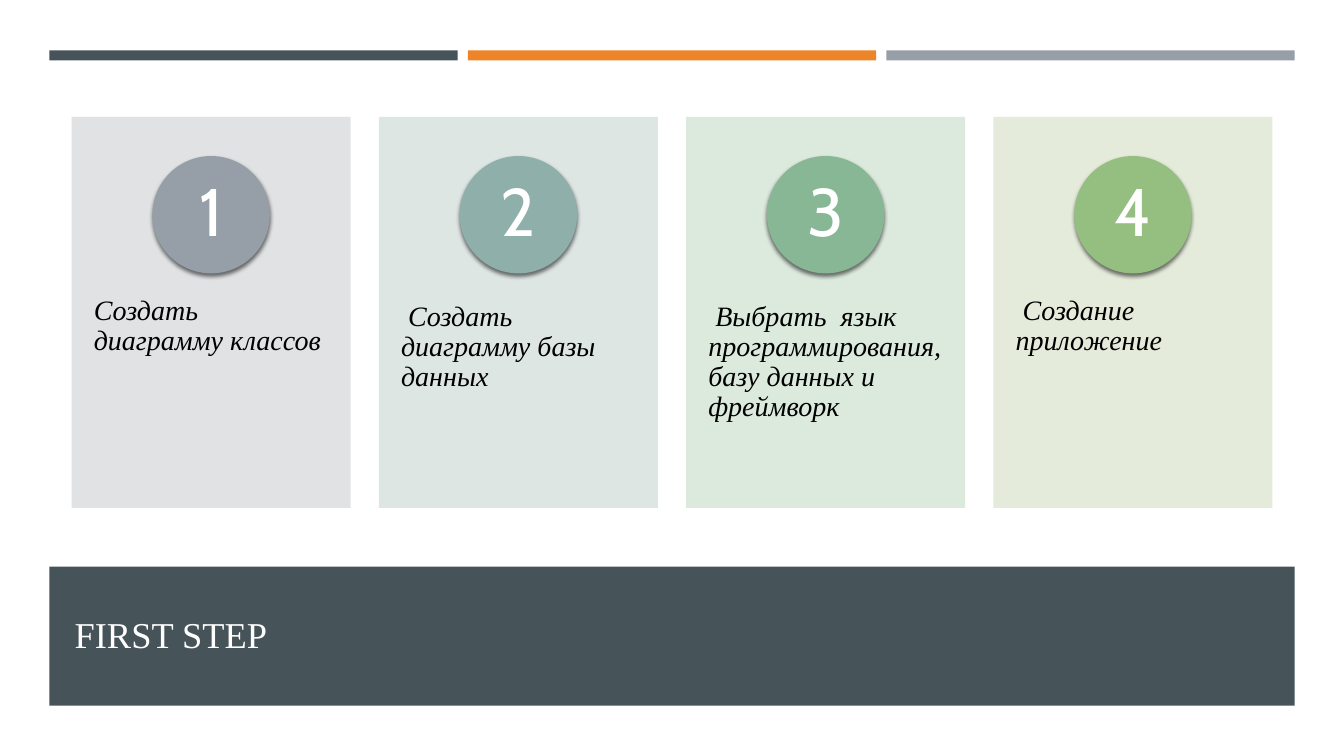
from collections import namedtuple

from lxml.etree import SubElement
from pptx import Presentation
from pptx.dml.color import RGBColor
from pptx.enum.shapes import MSO_SHAPE as Shape
from pptx.enum.text import MSO_ANCHOR as Anchor, PP_ALIGN as Align
from pptx.oxml.ns import qn
from pptx.util import Inches, Pt

Box = namedtuple("Box", "left top width height")

SLIDE_W, SLIDE_H = 13.33, 7.5
MARGIN = 0.49
CONTENT_W = SLIDE_W - 2 * MARGIN

SLATE = RGBColor(0x46, 0x53, 0x59)
ORANGE = RGBColor(0xED, 0x84, 0x28)
GREY = RGBColor(0x96, 0x9F, 0xA7)
WHITE = RGBColor(0xFF, 0xFF, 0xFF)
TITLE_WHITE = RGBColor(0xFF, 0xFE, 0xFF)
BLACK = RGBColor(0, 0, 0)
PALE_GREY = RGBColor(0xDD, 0xDF, 0xE1)
PALE_TEAL = RGBColor(0xDB, 0xE4, 0xE2)
PALE_GREEN = RGBColor(0xD9, 0xE7, 0xDA)
PALE_LIME = RGBColor(0xE2, 0xE9, 0xD7)
TEAL = RGBColor(0x8F, 0xAF, 0xAB)
GREEN = RGBColor(0x87, 0xB7, 0x94)
LIME = RGBColor(0x95, 0xBF, 0x80)

SERIF, SANS = "Times New Roman", "Cabin"

STEPS = [
    ("Создать диаграмму классов", PALE_GREY, GREY),
    (" Создать диаграмму базы данных", PALE_TEAL, TEAL),
    (" Выбрать  язык программирования, базу данных и фреймворк", PALE_GREEN, GREEN),
    (" Создание приложение", PALE_LIME, LIME),
]


def to_emu(box):
    return [Inches(length) for length in box]


def add_filled(slide, preset, box, color):
    filled = slide.shapes.add_shape(preset, *to_emu(box))
    filled.shadow.inherit = False
    filled.fill.solid()
    filled.fill.fore_color.rgb = color
    filled.line.fill.background()
    return filled


def write_text(holder, text, font=SERIF, size=20, color=BLACK, italic=False,
               align=Align.LEFT, anchor=Anchor.TOP, inset=(0.1, 0.05), spacing=0.9):
    frame = holder.text_frame
    frame.word_wrap = True
    frame.vertical_anchor = anchor
    frame.margin_left = frame.margin_right = Inches(inset[0])
    frame.margin_top = frame.margin_bottom = Inches(inset[1])
    line = frame.paragraphs[0]
    line.alignment = align
    line.line_spacing = spacing
    run = line.add_run()
    run.text = text
    run.font.name, run.font.size = font, Pt(size)
    run.font.italic = italic
    run.font.color.rgb = color


def set_opacity(filled, percent):
    color = filled.fill._xPr.find(qn("a:solidFill"))[0]
    SubElement(color, qn("a:alpha"), val=str(percent * 1000))


def add_soft_shadow(filled):
    effects = filled._element.spPr.find(qn("a:effectLst"))
    shadow = SubElement(effects, qn("a:outerShdw"), blurRad=str(Pt(3)),
                        dist=str(Pt(2)), dir="5400000", algn="ctr", rotWithShape="0")
    color = SubElement(shadow, qn("a:srgbClr"), val="000000")
    SubElement(color, qn("a:alpha"), val="55000")


def add_top_bars(slide, box, gap=0.1):
    colors = (SLATE, ORANGE, GREY)
    width = (box.width - gap * (len(colors) - 1)) / len(colors)
    for column, color in enumerate(colors):
        left = box.left + column * (width + gap)
        add_filled(slide, Shape.RECTANGLE, Box(left, box.top, width, box.height), color)


def add_title_band(slide, box):
    add_filled(slide, Shape.RECTANGLE, box, SLATE)
    title = slide.shapes.title
    # Bring the title in front of its band
    slide.shapes._spTree.append(title._element)
    title.left, title.top, title.width, title.height = to_emu(
        Box(box.left + 0.15, box.top + 0.14, box.width - 0.45, 1.05))
    write_text(title, "FIRST STEP", size=26, color=TITLE_WHITE,
               anchor=Anchor.MIDDLE, spacing=1.0)


def add_step_card(slide, box, number, task, card_color, badge_color):
    card = add_filled(slide, Shape.RECTANGLE, box, card_color)
    set_opacity(card, 90)

    # Task text in the lower part of the card
    task_box = Box(box.left, box.top + 0.38 * box.height, box.width, 0.6 * box.height)
    task_text = slide.shapes.add_textbox(*to_emu(task_box))
    write_text(task_text, task, italic=True, inset=(0.22, 0.36))

    # Numbered badge, centred across the card
    side = 0.3 * box.height
    badge_box = Box(box.left + (box.width - side) / 2, box.top + 0.1 * box.height, side, side)
    badge = add_filled(slide, Shape.OVAL, badge_box, badge_color)
    add_soft_shadow(badge)
    write_text(badge, str(number), font=SANS, size=48, color=WHITE, align=Align.CENTER,
               anchor=Anchor.MIDDLE, inset=(0.09, 0.01))


def add_steps(slide, box, gap=0.28):
    width = (box.width - gap * (len(STEPS) - 1)) / len(STEPS)
    for column, step in enumerate(STEPS):
        left = box.left + column * (width + gap)
        add_step_card(slide, Box(left, box.top, width, box.height), column + 1, *step)


def main():
    deck = Presentation()
    deck.slide_width, deck.slide_height = Inches(SLIDE_W), Inches(SLIDE_H)
    slide = deck.slides.add_slide(deck.slide_layouts[5])
    add_title_band(slide, Box(MARGIN, 5.62, CONTENT_W, 1.38))
    add_top_bars(slide, Box(MARGIN, 0.5, CONTENT_W, 0.1))
    add_steps(slide, Box(0.71, 1.16, 11.91, 3.88))
    deck.save("out.pptx")


if __name__ == "__main__":
    main()
